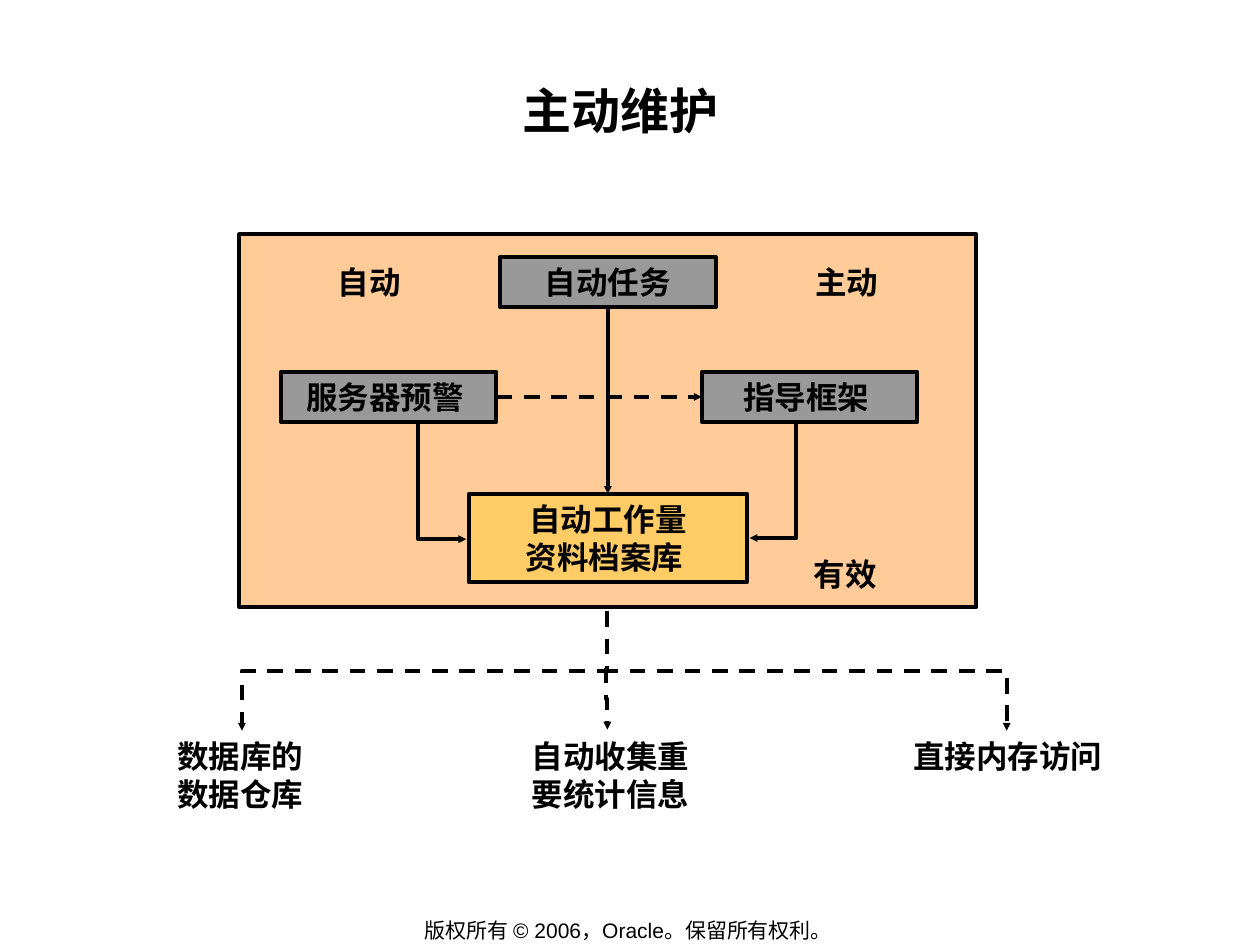
"""Build the proactive maintenance diagram slide."""
import lxml.etree
import pptx
import pptx.dml.color
import pptx.enum.dml
import pptx.enum.shapes
import pptx.enum.text
import pptx.oxml.ns
import pptx.util
from dataclasses import dataclass

Inches = pptx.util.Inches
Align = pptx.enum.text.PP_ALIGN
Anchor = pptx.enum.text.MSO_ANCHOR
Link = pptx.enum.shapes.MSO_CONNECTOR
qn = pptx.oxml.ns.qn


@dataclass(frozen=True)
class Theme:
    ink: str = "000000"
    panel: str = "FFCC99"
    component: str = "999999"
    repository: str = "FFCC66"
    latin: str = "Arial"
    chinese: str = "Noto Sans CJK SC"
    title_size: int = 28
    label_size: int = 18
    footer_size: int = 12
    line_width: float = 2.25


theme = Theme()
LABEL = {"size": theme.label_size, "name": theme.chinese, "bold": True}
TITLE = {"size": theme.title_size, "name": theme.latin, "bold": True}
FOOTER = {"size": theme.footer_size, "name": theme.latin, "bold": False}

TITLE_TEXT = ("主动维护 ", (0.97, 0.58, 8, 0.96))
FOOTER_TEXT = ("版权所有 © 2006，Oracle。保留所有权利。 ", (2.76, 7.28, 4.49, 0.21))
LABELS = [
    ("自动", (2.58, 2.04, 0.7, 0.4), Align.CENTER),
    ("主动", (6.37, 2.04, 0.7, 0.4), Align.CENTER),
    ("有效", (6.36, 4.36, 0.7, 0.4), Align.CENTER),
    ("数据库的\v数据仓库", (1.31, 5.8, 1.2, 0.7), Align.LEFT),
    ("自动收集重\v要统计信息", (4.12, 5.8, 1.45, 0.7), Align.LEFT),
    ("直接内存访问", (7.15, 5.8, 1.7, 0.4), Align.CENTER),
]
PANEL = (1.9, 1.86, 5.85, 2.96)
BOXES = {
    "alerts": ("服务器预警 ", (2.23, 2.95, 1.71, 0.4), theme.component),
    "advisors": ("指导框架 ", (5.57, 2.95, 1.71, 0.4), theme.component),
    "tasks": ("自动任务", (3.97, 2.04, 1.71, 0.4), theme.component),
    "repository": ("自动工作量\v资料档案库 ", (3.72, 3.92, 2.21, 0.7), theme.repository),
}
JOINS = [("alerts", 3, "advisors", 1, True), ("tasks", 2, "repository", 0, False)]
FEEDS = [
    [(3.32, 3.35), (3.32, 4.28), (3.7, 4.28)],
    [(6.32, 3.35), (6.32, 4.27), (5.95, 4.27)],
]
BRANCHES = [
    ((4.82, 4.85), (1.92, 5.8)),
    ((4.82, 4.85), (7.99, 5.8)),
    ((4.81, 5.3), (4.82, 5.79)),
]


def rgb(value):
    return pptx.dml.color.RGBColor.from_string(value)


def write(shape, text, style, align=Align.CENTER, margins=(0.1, 0.05), **frame_format):
    frame = shape.text_frame
    across, down = (Inches(margin) for margin in margins)
    settings = {
        "margin_left": across, "margin_right": across,
        "margin_top": down, "margin_bottom": down,
        "word_wrap": True, "vertical_anchor": Anchor.TOP, **frame_format,
    }
    for name, value in settings.items():
        setattr(frame, name, value)
    para = frame.paragraphs[0]
    para.text = text
    para.alignment = align
    for span in para.runs:
        for name, value in {**style, "size": pptx.util.Pt(style["size"])}.items():
            setattr(span.font, name, value)
        span.font.color.rgb = rgb(theme.ink)
        east = lxml.etree.SubElement(span.font._element, qn("a:ea"))
        east.set("typeface", theme.chinese)
    return para


def add_text(page, text, place, style, **options):
    box = page.shapes.add_textbox(*map(Inches, place))
    return write(box, text, style, **options)


def outline(shape, dashed=False, arrow=False):
    shape.line.color.rgb = rgb(theme.ink)
    shape.line.width = pptx.util.Pt(theme.line_width)
    if dashed:
        shape.line.dash_style = pptx.enum.dml.MSO_LINE.DASH
    if arrow:
        line = shape.line._get_or_add_ln()
        tail = lxml.etree.SubElement(line, qn("a:tailEnd"))
        for name, value in {"type": "triangle", "w": "sm", "len": "sm"}.items():
            tail.set(name, value)


def add_box(page, place, fill):
    kind = pptx.enum.shapes.MSO_SHAPE.RECTANGLE
    box = page.shapes.add_shape(kind, *map(Inches, place))
    box.shadow.inherit = False
    box.fill.solid()
    box.fill.fore_color.rgb = rgb(fill)
    outline(box)
    return box


def add_link(page, kind, start, end, dashed):
    link = page.shapes.add_connector(kind, *map(Inches, start + end))
    outline(link, dashed, arrow=True)
    lxml.etree.SubElement(link._element.spPr, qn("a:effectLst"))
    return link


def add_feed(page, points):
    corners = [tuple(map(Inches, point)) for point in points]
    builder = page.shapes.build_freeform(*corners[0])
    builder.add_line_segments(corners[1:], close=False)
    feed = builder.convert_to_shape()
    feed.shadow.inherit = False
    feed.fill.background()
    outline(feed, arrow=True)


def add_branch(page, start, end):
    middle_x, middle_y = ((a + b) / 2 for a, b in zip(start, end))
    half_run = abs(end[0] - start[0]) / 2
    rightward = end[0] > start[0]
    half_drop = (end[1] - start[1]) / 2 * (-1 if rightward else 1)
    link = add_link(
        page, Link.ELBOW,
        (middle_x - half_drop, middle_y - half_run),
        (middle_x + half_drop, middle_y + half_run), True,
    )
    turn = 270 if rightward else 90
    link._element.spPr.find(qn("a:xfrm")).set("rot", str(turn * 60000))


def main():
    deck = pptx.Presentation()
    deck.slide_width, deck.slide_height = Inches(10), Inches(7.5)
    page = deck.slides.add_slide(deck.slide_layouts[6])

    text, place = FOOTER_TEXT
    add_text(page, text, place, FOOTER, word_wrap=False, vertical_anchor=Anchor.MIDDLE)
    text, place = TITLE_TEXT
    add_text(page, text, place, TITLE, margins=(0.01, 0.01)).line_spacing = 1.1

    add_box(page, PANEL, theme.panel)
    for points in FEEDS:
        add_feed(page, points)
    for start, end in BRANCHES:
        add_branch(page, start, end)
    boxes = {}
    for name, (text, place, fill) in BOXES.items():
        boxes[name] = add_box(page, place, fill)
        write(boxes[name], text, LABEL)
    for source, source_side, target, target_side, dashed in JOINS:
        link = add_link(page, Link.STRAIGHT, (0, 0), (1, 1), dashed)
        link.begin_connect(boxes[source], source_side)
        link.end_connect(boxes[target], target_side)
    for text, place, align in LABELS:
        add_text(page, text, place, LABEL, align=align, word_wrap=False)

    deck.save("out.pptx")


if __name__ == "__main__":
    main()
